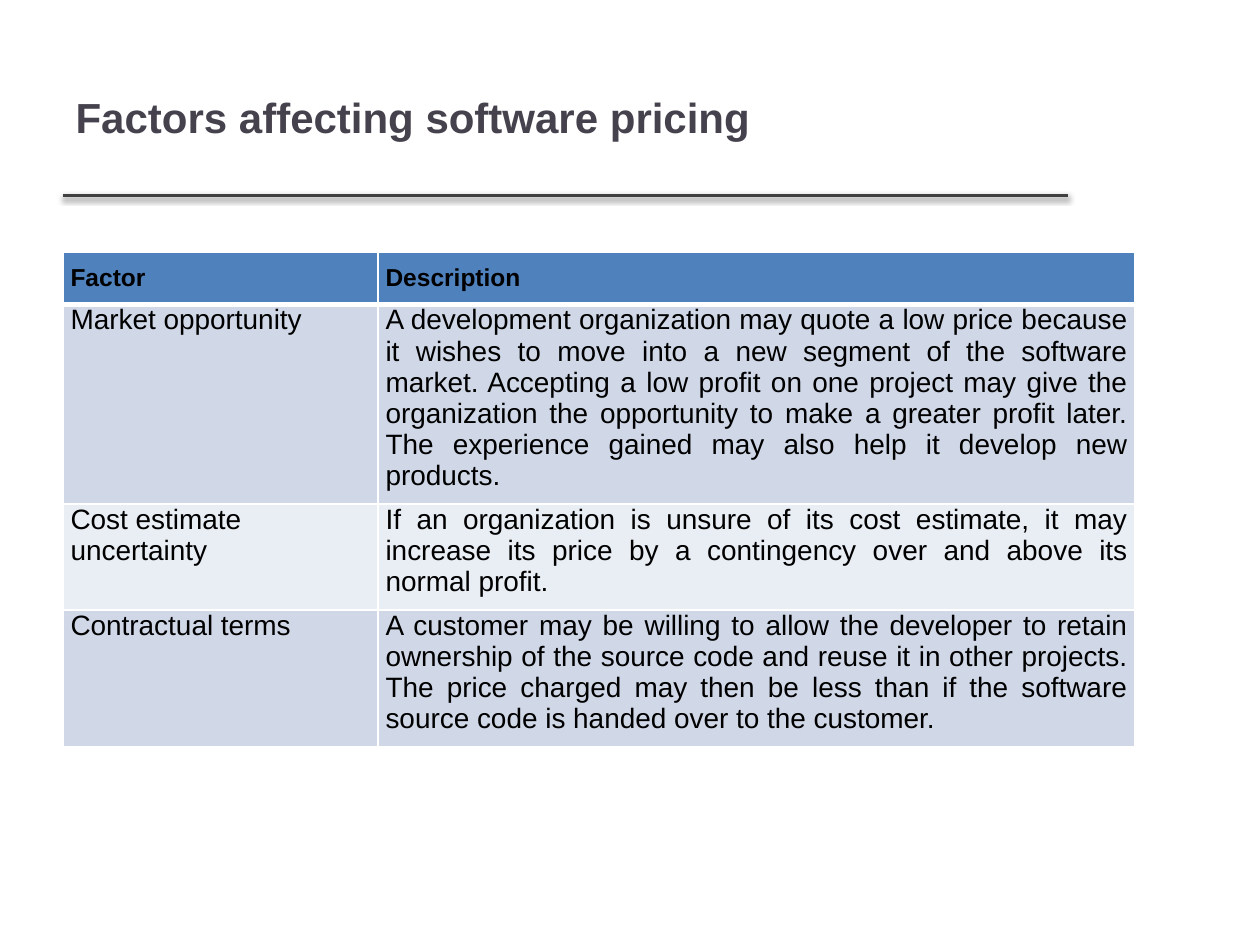
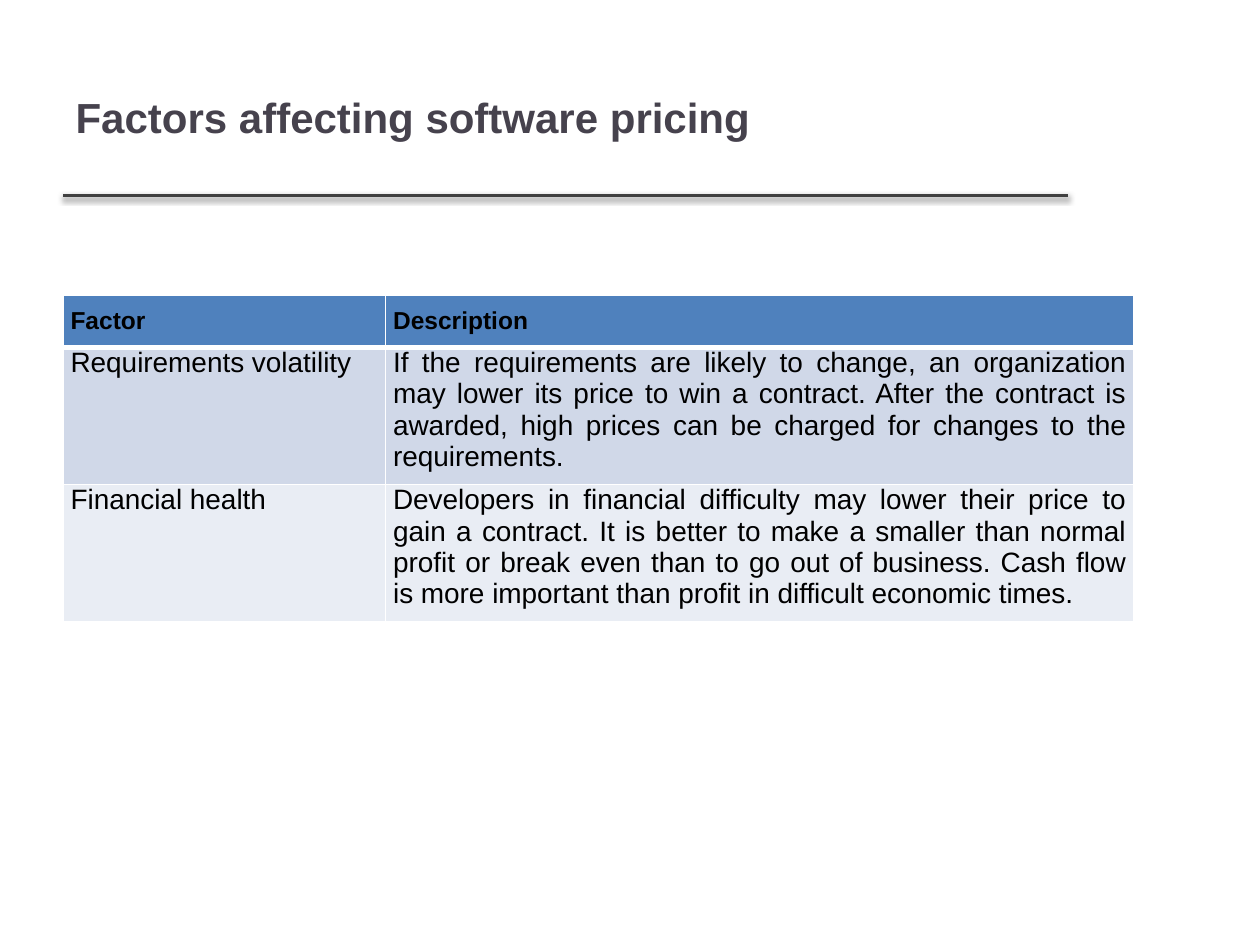
from dataclasses import dataclass

from lxml.etree import SubElement
from pptx import Presentation
from pptx.dml.color import RGBColor
from pptx.enum.shapes import MSO_CONNECTOR
from pptx.enum.text import MSO_ANCHOR, PP_ALIGN
from pptx.oxml.ns import qn
from pptx.presentation import Presentation as Deck
from pptx.slide import Slide
from pptx.table import _Cell
from pptx.text.text import TextFrame
from pptx.util import Inches, Pt


@dataclass(frozen=True)
class Theme:
    """Colours, font and type sizes shared by the slides."""
    font: str = "Arial"
    title_color: str = "46424D"
    rule_color: str = "404040"
    text_color: str = "000000"
    border_color: str = "FFFFFF"
    header_fill: str = "4F81BD"
    band_fills: tuple[str, str] = ("D0D8E8", "E9EDF4")
    title_size: int = 24
    header_size: int = 14
    body_size: int = 16


@dataclass(frozen=True)
class Factor:
    """One pricing factor and its explanation."""
    name: str
    description: str


@dataclass(frozen=True)
class FactorPage:
    """The table of one slide: its top, column widths and factors."""
    top: float
    column_widths: tuple[float, float]
    factors: tuple[Factor, ...]


THEME = Theme()
TITLE = "Factors affecting software pricing"
HEADINGS = Factor("Factor", "Description")
LEFT = 0.5
TITLE_TOP, TITLE_WIDTH, TITLE_HEIGHT = 0.3, 7.98, 1.25
ROW_HEIGHT = 0.41
THIN, THICK = 1, 3

PAGES = (
    FactorPage(2.0, (2.5, 6.01), (
        Factor("Market opportunity",
               "A development organization may quote a low price because it wishes to "
               "move into a new segment of the software market. Accepting a low profit "
               "on one project may give the organization the opportunity to make a "
               "greater profit later. The experience gained may also help it develop "
               "new products."),
        Factor("Cost estimate uncertainty",
               "If an organization is unsure of its cost estimate, it may increase its "
               "price by a contingency over and above its normal profit."),
        Factor("Contractual terms",
               "A customer may be willing to allow the developer to retain ownership of "
               "the source code and reuse it in other projects. The price charged may "
               "then be less than if the software source code is handed over to the "
               "customer."),
    )),
    FactorPage(2.34, (2.56, 5.94), (
        Factor("Requirements volatility",
               "If the requirements are likely to change, an organization may lower its "
               "price to win a contract. After the contract is awarded, high prices can "
               "be charged for changes to the requirements."),
        Factor("Financial health",
               "Developers in financial difficulty may lower their price to gain a "
               "contract. It is better to make a smaller than normal profit or break "
               "even than to go out of business. Cash flow is more important than "
               "profit in difficult economic times."),
    )),
)


def write_text(frame: TextFrame, text: str, size: int, color: str,
               bold: bool, align: PP_ALIGN) -> None:
    """Put one formatted paragraph into a text frame."""
    frame.text = text
    paragraph = frame.paragraphs[0]
    paragraph.alignment = align
    font = paragraph.runs[0].font
    font.name, font.size, font.bold = THEME.font, Pt(size), bold
    font.color.rgb = RGBColor.from_string(color)


def add_title(slide: Slide) -> None:
    """Place and format the slide title."""
    title = slide.shapes.title
    title.left, title.top = Inches(LEFT), Inches(TITLE_TOP)
    title.width, title.height = Inches(TITLE_WIDTH), Inches(TITLE_HEIGHT)
    title.text_frame.vertical_anchor = MSO_ANCHOR.MIDDLE
    write_text(title.text_frame, TITLE, THEME.title_size, THEME.title_color,
               True, PP_ALIGN.LEFT)


def add_title_rule(slide: Slide) -> None:
    """Draw the rule under the title with its soft shadow."""
    y = Inches(TITLE_TOP + TITLE_HEIGHT)
    rule = slide.shapes.add_connector(
        MSO_CONNECTOR.STRAIGHT, Inches(LEFT), y, Inches(LEFT + TITLE_WIDTH), y)
    rule.line.width = Pt(2)
    rule.line.color.rgb = RGBColor.from_string(THEME.rule_color)
    effects = SubElement(rule._element.spPr, qn("a:effectLst"))
    shadow = SubElement(effects, qn("a:outerShdw"), blurRad=str(Pt(3.1)),
                        dist=str(Pt(1.6)), dir="5400000", rotWithShape="0")
    shade = SubElement(shadow, qn("a:srgbClr"), val="000000")
    SubElement(shade, qn("a:alpha"), val="38000")


def set_borders(cell: _Cell, top: int, bottom: int) -> None:
    """Give a cell its four borders; the sides are thin."""
    properties = cell._tc.get_or_add_tcPr()
    for side, width in (("L", THIN), ("R", THIN), ("T", top), ("B", bottom)):
        border = SubElement(properties, qn(f"a:ln{side}"), w=str(Pt(width)))
        fill = SubElement(border, qn("a:solidFill"))
        SubElement(fill, qn("a:srgbClr"), val=THEME.border_color)


def format_cell(cell: _Cell, text: str, row: int, column: int) -> None:
    """Fill and format a cell according to its place in the table."""
    is_header = row == 0
    cell.margin_left = cell.margin_right = Inches(0.06)
    cell.margin_top = Inches(0.1 if is_header else 0)
    cell.margin_bottom = Inches(0.1)
    set_borders(cell, THICK if row == 1 else THIN, THICK if is_header else THIN)
    color = THEME.header_fill if is_header else THEME.band_fills[(row - 1) % 2]
    cell.fill.solid()
    cell.fill.fore_color.rgb = RGBColor.from_string(color)
    justified = is_header or column == 1
    write_text(cell.text_frame, text,
               THEME.header_size if is_header else THEME.body_size,
               THEME.text_color, is_header,
               PP_ALIGN.JUSTIFY if justified else PP_ALIGN.LEFT)


def add_factor_table(slide: Slide, page: FactorPage) -> None:
    """Add the table of factors; rows grow with their text."""
    entries = (HEADINGS, *page.factors)
    table = slide.shapes.add_table(
        len(entries), len(page.column_widths), Inches(LEFT), Inches(page.top),
        Inches(sum(page.column_widths)), Inches(ROW_HEIGHT * len(entries))).table
    for column, width in zip(table.columns, page.column_widths):
        column.width = Inches(width)
    for row, entry in enumerate(entries):
        for column, text in enumerate((entry.name, entry.description)):
            format_cell(table.cell(row, column), text, row, column)


def add_page(deck: Deck, page: FactorPage) -> None:
    """Build one slide from its factors."""
    slide = deck.slides.add_slide(deck.slide_layouts.get_by_name("Title Only"))
    add_title_rule(slide)
    add_title(slide)
    add_factor_table(slide, page)


def main() -> None:
    """Build and save the presentation."""
    deck = Presentation()
    deck.slide_width, deck.slide_height = Inches(10), Inches(7.5)
    for page in PAGES:
        add_page(deck, page)
    deck.save("out.pptx")


main()
